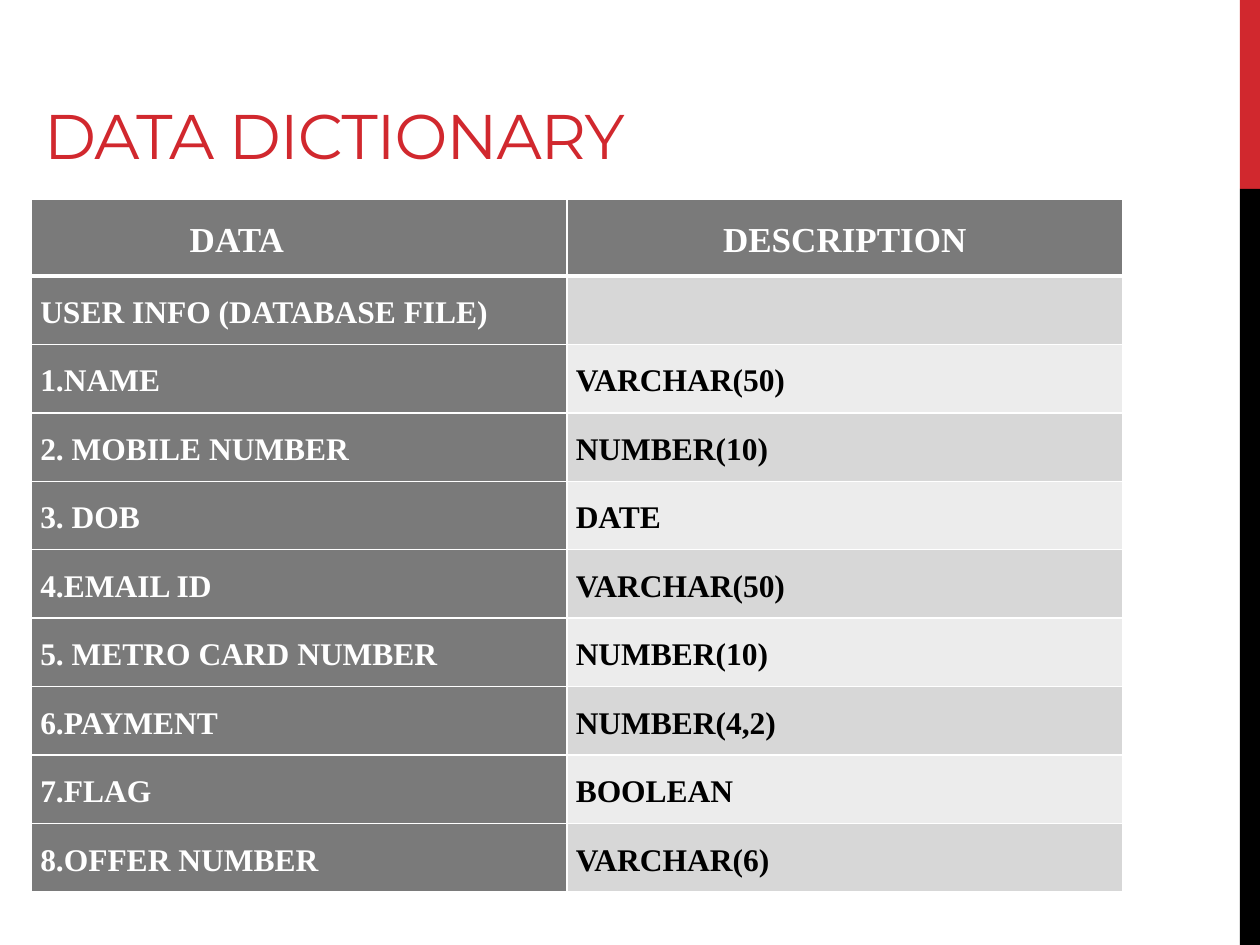
from lxml import etree
from pptx import Presentation
from pptx import util as u
from pptx.dml.color import RGBColor
from pptx.enum import shapes, text
from pptx.oxml.ns import qn

COLORS = {"red": "D1282E", "black": "000000", "white": "FFFFFF",
          "gray": "7A7A7A", "band_dark": "D7D7D7", "band_light": "ECECEC"}
TITLE = "DATA DICTIONARY"
FIELDS = [
    ("\tDATA\t", "DESCRIPTION"),
    ("USER INFO (DATABASE FILE)", ""),
    ("1.NAME", "VARCHAR(50)"),
    ("2. MOBILE NUMBER", "NUMBER(10)"),
    ("3. DOB", "DATE"),
    ("4.EMAIL ID", "VARCHAR(50)"),
    ("5. METRO CARD NUMBER", "NUMBER(10)"),
    ("6.PAYMENT", "NUMBER(4,2)"),
    ("7.FLAG", "BOOLEAN"),
    ("8.OFFER NUMBER", "VARCHAR(6)"),
]
HEADER_TABS = [(1.56, "ctr"), (2.55, "l")]
SIDE_BARS = [(0, 1.5, "red"), (1.5, 6, "black")]
COLUMN_WIDTHS = [4.25, 4.41]
TABLE_HEIGHT, HEADER_HEIGHT = 5.5, 0.61


def rgb(name):
    return RGBColor.from_string(COLORS[name])


def style_span(span, font, size, color, bold=False):
    span.font.name = font
    span.font.size = u.Pt(size)
    span.font.bold = bold
    span.font.color.rgb = rgb(color)


def add_side_bar(slide, top, height, color):
    bar = slide.shapes.add_shape(shapes.MSO_SHAPE.RECTANGLE, u.Inches(9.84), u.Inches(top),
                                 u.Inches(0.16), u.Inches(height))
    bar.shadow.inherit = False
    bar.fill.solid()
    bar.fill.fore_color.rgb = rgb(color)
    bar.line.fill.background()


def set_title(slide):
    title = slide.shapes.title
    title.left, title.top = u.Inches(0.25), u.Inches(0.17)
    title.width, title.height = u.Inches(8.33), u.Inches(1.25)
    frame = title.text_frame
    frame.text = TITLE
    frame.word_wrap = True
    frame.auto_size = text.MSO_AUTO_SIZE.NONE
    frame.vertical_anchor = text.MSO_ANCHOR.BOTTOM
    para = frame.paragraphs[0]
    para.alignment = text.PP_ALIGN.LEFT
    span = para.runs[0]
    style_span(span, "Montserrat", 36, "red")
    span._r.get_or_add_rPr().set("spc", "-60")


def set_borders(cell, row):
    """White rules, with a thicker one between the header and the body."""
    widths = {"lnL": 1, "lnR": 1, "lnT": 3 if row == 1 else 1, "lnB": 3 if row == 0 else 1}
    properties = cell._tc.get_or_add_tcPr()
    for side, width in widths.items():
        line = etree.SubElement(properties, qn(f"a:{side}"), w=str(u.Pt(width)))
        fill = etree.SubElement(line, qn("a:solidFill"))
        etree.SubElement(fill, qn("a:srgbClr"), val=COLORS["white"])


def add_tabs(para, stops):
    tabs = etree.SubElement(para._p.get_or_add_pPr(), qn("a:tabLst"))
    for position, alignment in stops:
        etree.SubElement(tabs, qn("a:tab"), pos=str(u.Inches(position)), algn=alignment)


def fill_cell(cell, row, column, words):
    is_header = row == 0
    is_gray = is_header or column == 0
    set_borders(cell, row)
    cell.fill.solid()
    band = "band_dark" if row % 2 else "band_light"
    cell.fill.fore_color.rgb = rgb("gray" if is_gray else band)
    cell.margin_left = cell.margin_right = u.Inches(0.07)
    cell.margin_top = cell.margin_bottom = 0
    cell.vertical_anchor = text.MSO_ANCHOR.MIDDLE
    para = cell.text_frame.paragraphs[0]
    para.text = words
    para.line_spacing = 1.15
    para.alignment = text.PP_ALIGN.CENTER if is_header and column else text.PP_ALIGN.LEFT
    if "\t" in words:
        add_tabs(para, HEADER_TABS)
    for span in para.runs:
        style_span(span, "Times New Roman", 20 if is_header else 18,
                   "white" if is_gray else "black", bold=True)


def add_dictionary(slide):
    table = slide.shapes.add_table(len(FIELDS), len(COLUMN_WIDTHS), u.Inches(0.25), u.Inches(1.58),
                                   u.Inches(sum(COLUMN_WIDTHS)), u.Inches(TABLE_HEIGHT)).table
    for column, width in zip(table.columns, COLUMN_WIDTHS):
        column.width = u.Inches(width)
    body_height = (TABLE_HEIGHT - HEADER_HEIGHT) / (len(FIELDS) - 1)
    for row, field in enumerate(FIELDS):
        table.rows[row].height = u.Inches(body_height if row else HEADER_HEIGHT)
        for column, words in enumerate(field):
            fill_cell(table.cell(row, column), row, column, words)


def main():
    deck = Presentation()
    deck.slide_width, deck.slide_height = u.Inches(10), u.Inches(7.5)
    slide = deck.slides.add_slide(deck.slide_layouts.get_by_name("Title Only"))
    for bar in SIDE_BARS:
        add_side_bar(slide, *bar)
    set_title(slide)
    add_dictionary(slide)
    deck.save("out.pptx")


if __name__ == "__main__":
    main()
